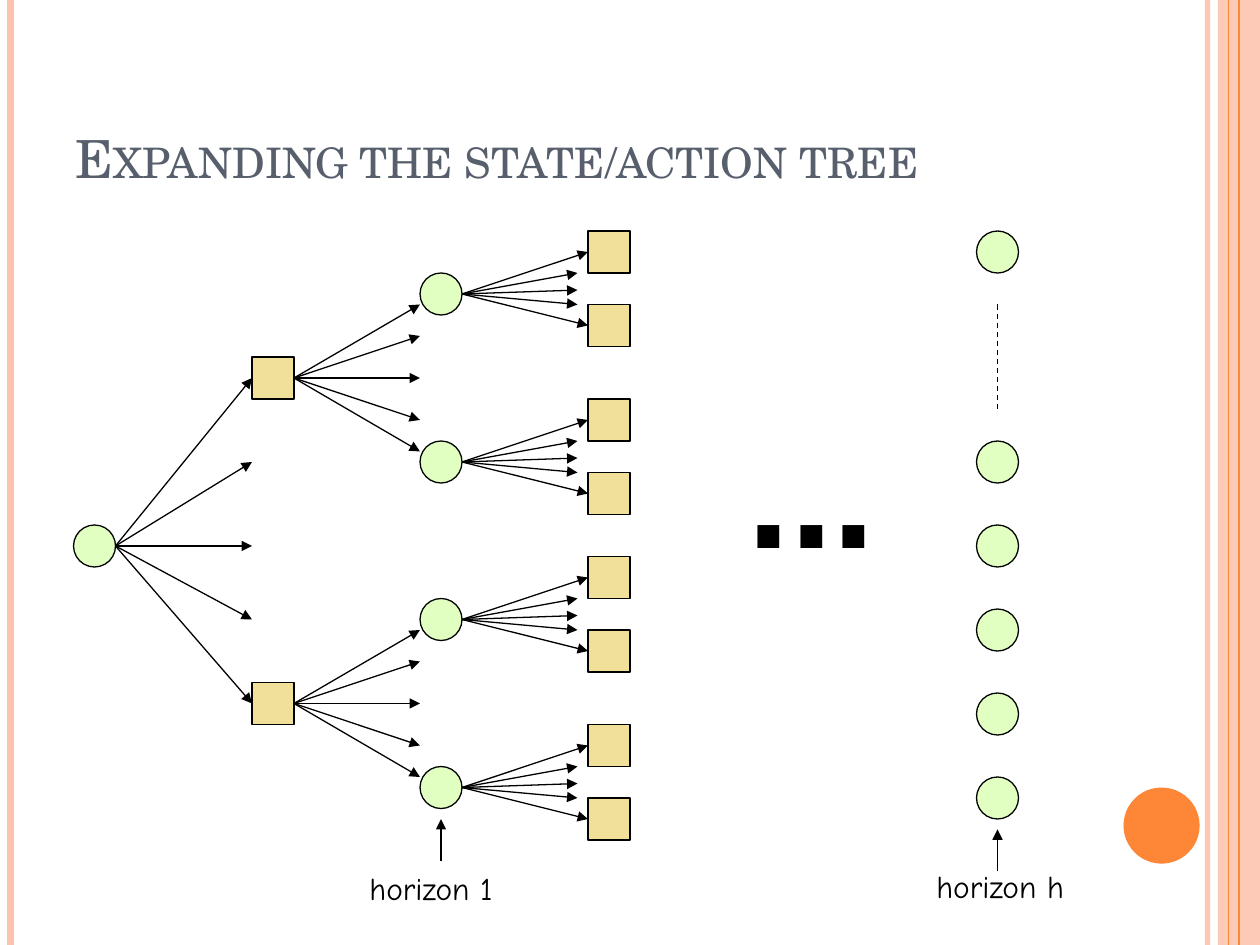
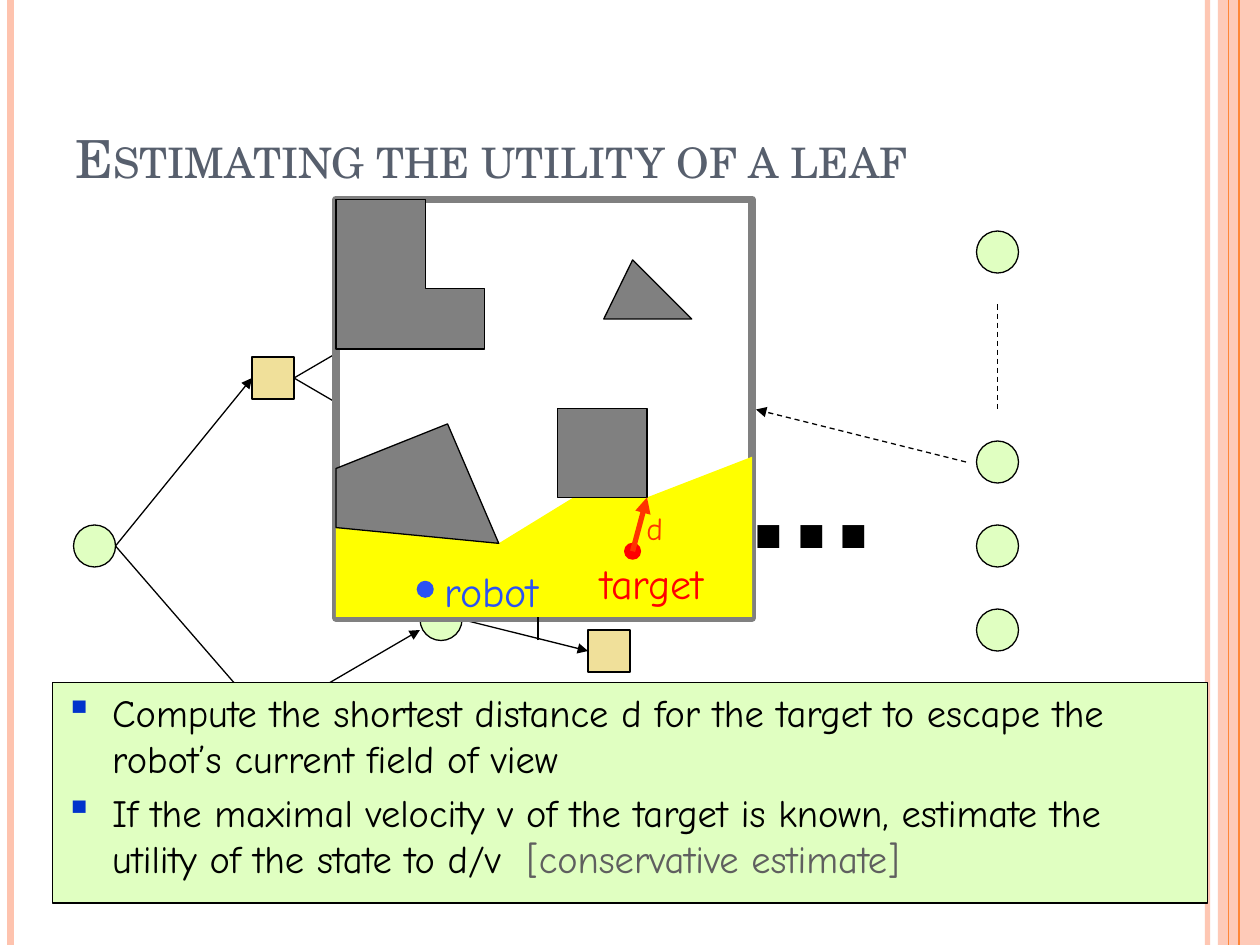
from dataclasses import dataclass, field
from typing import Optional

import pptx
import pptx.util
import pptx.dml.color
import pptx.enum.dml
import pptx.enum.shapes
import pptx.enum.text
import pptx.oxml
import pptx.oxml.ns
import pptx.oxml.xmlchemy
import pptx.shapes.base
import pptx.slide
import pptx.text.text

PIXEL = 9525
SHAPE = pptx.enum.shapes.MSO_SHAPE
Point = tuple[int, int]


@dataclass(frozen=True)
class Theme:
    title_font: str = "TeX Gyre Schola"
    body_font: str = "Comic Neue"
    dots_font: str = "Arial"
    title_size: int = 30
    body_size: int = 22
    label_size: int = 18
    scene_size: int = 24
    dots_size: int = 88
    ink: str = "000000"
    title: str = "575F6D"
    band: str = "FEC3AE"
    accent: str = "FE8637"
    state: str = "E0FFC1"
    action: str = "F0E09A"
    paper: str = "FFFFFF"
    obstacle: str = "808080"
    view: str = "FFFF00"
    robot: str = "2B51F3"
    target: str = "FF0000"
    escape: str = "FF3300"
    bullet: str = "0033CC"
    muted: str = "5F5F5F"
    thin: float = 0.75


THEME = Theme()
NODE = 32
HALF = NODE // 2
ROOT_LEFT, ACTION_LEFT, STATE_LEFT, LEAF_LEFT, HORIZON_LEFT = 56, 192, 320, 448, 744
STUB_END = 440
ROOT_Y = 416
ACTION_YS = (288, 536)
STATE_OFFSETS = (-64, 64)
LEAF_OFFSETS = (-32, 24)
STUB_OFFSETS = (-16, -3, 8)
SPREAD = (-56, 56)
INNER_SPREAD = (-32, 0, 32)
HORIZON_YS = (192, 352, 416, 480, 544, 608)


@dataclass(frozen=True)
class Label:
    text: str
    left: int
    top: int
    width: int
    height: int
    size: int = THEME.label_size
    color: str = THEME.ink
    font: str = THEME.body_font
    bold: bool = False


@dataclass(frozen=True)
class Rule:
    x: int
    color: str
    weight: float
    opacity: int = 100


@dataclass(frozen=True)
class Outline:
    points: tuple[Point, ...]
    fill: str
    line: Optional[str] = THEME.ink


@dataclass
class Canvas:
    slide: pptx.slide.Slide
    sides: dict = field(default_factory=dict)


EDGE_RULES = (
    Rule(920, THEME.band, 3, 93),
    Rule(8, THEME.band, 4.5),
    Rule(944, THEME.accent, 1.5),
    Rule(936, THEME.accent, THEME.thin),
)
TREE_LABELS = (
    Label("...", 560, 296, 117, 151, THEME.dots_size, font=THEME.dots_font, bold=True),
    Label("horizon 1", 272, 657, 120, 38),
    Label("horizon h", 704, 656, 123, 38),
)
SCENE_OUTLINES = (
    Outline(((380, 414), (437, 379), (493, 379), (573, 348), (573, 470), (256, 470), (256, 402)), THEME.view, None),
    Outline(((425, 311), (493, 311), (493, 379), (425, 379)), THEME.obstacle),
    Outline(((256, 402), (380, 414), (341, 323), (256, 357)), THEME.obstacle),
    Outline(((256, 266), (369, 266), (369, 220), (324, 220), (324, 152), (256, 152)), THEME.obstacle),
    Outline(((482, 198), (460, 243), (527, 243)), THEME.obstacle),
)
SCENE_LABELS = (
    Label("target", 448, 420, 115, 48, THEME.scene_size, THEME.target),
    Label("robot", 329, 426, 103, 48, THEME.scene_size, THEME.robot),
)
DISTANCE_LABEL = Label("d", 483, 383, 34, 38, color=THEME.escape)
NOTES = (
    ("Compute the shortest distance d for the target to escape the robot’s current field of view",),
    (
        "If the maximal velocity v of the target is known, estimate the utility of the state to d/v  ",
        "[conservative estimate]",
    ),
)


def px(*lengths: int) -> list[pptx.util.Emu]:
    return [pptx.util.Emu(length * PIXEL) for length in lengths]


def rgb(color: str) -> pptx.dml.color.RGBColor:
    return pptx.dml.color.RGBColor.from_string(color)


def add_element(parent: pptx.oxml.xmlchemy.BaseOxmlElement, tag: str, **attributes: str) -> None:
    child = pptx.oxml.parse_xml(f"<{tag} {pptx.oxml.ns.nsdecls('a')}/>")
    for name, value in attributes.items():
        child.set(name, value)
    parent.append(child)


def set_opacity(shape: pptx.shapes.base.BaseShape, opacity: int) -> None:
    color = shape._element.spPr.find(".//" + pptx.oxml.ns.qn("a:srgbClr"))
    add_element(color, "a:alpha", val=str(opacity * 1000))


def paint(shape: pptx.shapes.base.BaseShape, fill: str, line: Optional[str], weight: float = THEME.thin) -> None:
    shape.shadow.inherit = False
    shape.fill.solid()
    shape.fill.fore_color.rgb = rgb(fill)
    if line is None:
        shape.line.fill.background()
    else:
        shape.line.color.rgb = rgb(line)
        shape.line.width = pptx.util.Pt(weight)


def add_block(canvas: Canvas, kind: SHAPE, box: tuple[int, int, int, int], fill: str,
              line: Optional[str] = THEME.ink, weight: float = THEME.thin) -> pptx.shapes.base.BaseShape:
    shape = canvas.slide.shapes.add_shape(kind, *px(*box))
    paint(shape, fill, line, weight)
    return shape


def add_line(canvas: Canvas, start: Point, end: Point, color: str = THEME.ink, weight: float = THEME.thin,
             arrow: bool = True, dashed: bool = False) -> pptx.shapes.base.BaseShape:
    connector = canvas.slide.shapes.add_connector(
        pptx.enum.shapes.MSO_CONNECTOR.STRAIGHT, *px(*start, *end))
    connector.line.color.rgb = rgb(color)
    connector.line.width = pptx.util.Pt(weight)
    if dashed:
        connector.line.dash_style = pptx.enum.dml.MSO_LINE.DASH
    if arrow:
        add_element(connector.line._get_or_add_ln(), "a:tailEnd", type="triangle")
    add_element(connector._element.spPr, "a:effectLst")
    if start in canvas.sides:
        connector.begin_connect(*canvas.sides[start])
    if end in canvas.sides:
        connector.end_connect(*canvas.sides[end])
    return connector


def add_fan(canvas: Canvas, start: Point, end_x: int, offsets: tuple[int, ...]) -> None:
    for offset in offsets:
        add_line(canvas, start, (end_x, start[1] + offset))


def add_state(canvas: Canvas, left: int, center_y: int) -> None:
    add_block(canvas, SHAPE.OVAL, (left, center_y - HALF, NODE, NODE), THEME.state)


def add_action(canvas: Canvas, left: int, center_y: int) -> None:
    square = add_block(canvas, SHAPE.RECTANGLE, (left, center_y - HALF, NODE, NODE), THEME.action)
    canvas.sides[left, center_y] = (square, 1)
    canvas.sides[left + NODE, center_y] = (square, 3)


def style_run(run: pptx.text.text._Run, font: str, size: int, color: str, bold: bool = False) -> None:
    run.font.name = font
    run.font.size = pptx.util.Pt(size)
    run.font.color.rgb = rgb(color)
    run.font.bold = bold


def add_label(canvas: Canvas, label: Label) -> None:
    box = canvas.slide.shapes.add_textbox(*px(label.left, label.top, label.width, label.height))
    frame = box.text_frame
    frame.text = label.text
    frame.word_wrap = False
    frame.auto_size = pptx.enum.text.MSO_AUTO_SIZE.SHAPE_TO_FIT_TEXT
    style_run(frame.paragraphs[0].runs[0], label.font, label.size, label.color, label.bold)


def start_slide(presentation: pptx.presentation.Presentation, title: str) -> Canvas:
    canvas = Canvas(presentation.slides.add_slide(presentation.slide_layouts[6]))
    band = add_block(canvas, SHAPE.RECTANGLE, (928, 0, 32, 720), THEME.band, None)
    set_opacity(band, 87)
    for rule in EDGE_RULES:
        line = add_line(canvas, (rule.x, 0), (rule.x, 720), rule.color, rule.weight, arrow=False)
        if rule.opacity < 100:
            set_opacity(line, rule.opacity)
    frame = canvas.slide.shapes.add_textbox(*px(48, 29, 784, 120)).text_frame
    frame.word_wrap = True
    frame.vertical_anchor = pptx.enum.text.MSO_ANCHOR.BOTTOM
    frame.text = title
    run = frame.paragraphs[0].runs[0]
    style_run(run, THEME.title_font, THEME.title_size, THEME.title)
    run.font._element.set("cap", "small")
    return canvas


def add_tree_frame(canvas: Canvas, horizon_ys: tuple[int, ...]) -> None:
    for center_y in horizon_ys:
        add_state(canvas, HORIZON_LEFT, center_y)
    add_line(canvas, (760, 232), (760, 312), arrow=False, dashed=True)
    add_state(canvas, ROOT_LEFT, ROOT_Y)
    for action_y in ACTION_YS:
        add_action(canvas, ACTION_LEFT, action_y)
        add_line(canvas, (ROOT_LEFT + NODE, ROOT_Y), (ACTION_LEFT, action_y))
    for label in TREE_LABELS:
        add_label(canvas, label)


def build_expansion(presentation: pptx.presentation.Presentation) -> None:
    canvas = start_slide(presentation, "Expanding the state/action tree")
    add_block(canvas, SHAPE.OVAL, (856, 600, 58, 58), THEME.accent, None)
    add_tree_frame(canvas, HORIZON_YS)
    add_fan(canvas, (ROOT_LEFT + NODE, ROOT_Y), ACTION_LEFT, (-64, 0, 56))
    for action_y in ACTION_YS:
        add_fan(canvas, (ACTION_LEFT + NODE, action_y), STATE_LEFT, SPREAD + INNER_SPREAD)
        for state_y in (action_y + offset for offset in STATE_OFFSETS):
            add_state(canvas, STATE_LEFT, state_y)
            for offset in LEAF_OFFSETS:
                add_action(canvas, LEAF_LEFT, state_y + offset)
            add_fan(canvas, (STATE_LEFT + NODE, state_y), LEAF_LEFT, LEAF_OFFSETS)
            add_fan(canvas, (STATE_LEFT + NODE, state_y), STUB_END, STUB_OFFSETS)
    add_line(canvas, (336, 656), (336, 624))
    add_line(canvas, (760, 664), (760, 632))


def add_notes(canvas: Canvas) -> None:
    panel = add_block(canvas, SHAPE.RECTANGLE, (40, 520, 880, 168), THEME.state)
    frame = panel.text_frame
    frame.word_wrap = True
    frame.vertical_anchor = pptx.enum.text.MSO_ANCHOR.TOP
    for index, pieces in enumerate(NOTES):
        paragraph = frame.paragraphs[0] if index == 0 else frame.add_paragraph()
        paragraph.alignment = pptx.enum.text.PP_ALIGN.LEFT
        if index:
            paragraph.space_before = pptx.util.Pt(4.4)
        properties = paragraph._p.get_or_add_pPr()
        properties.set("marL", str(36 * PIXEL))
        properties.set("indent", str(-36 * PIXEL))
        color = pptx.oxml.parse_xml(
            f'<a:buClr {pptx.oxml.ns.nsdecls("a")}><a:srgbClr val="{THEME.bullet}"/></a:buClr>')
        properties.append(color)
        add_element(properties, "a:buChar", char="▪")
        for piece, ink in zip(pieces, (THEME.ink, THEME.muted)):
            run = paragraph.add_run()
            run.text = piece
            style_run(run, THEME.body_font, THEME.body_size, ink)


def add_scene(canvas: Canvas) -> None:
    add_block(canvas, SHAPE.RECTANGLE, (256, 152, 317, 319), THEME.paper, THEME.obstacle, 4.5)
    add_line(canvas, (410, 488), (410, 453))
    for outline in SCENE_OUTLINES:
        builder = canvas.slide.shapes.build_freeform(*outline.points[0], scale=PIXEL)
        builder.add_line_segments(outline.points[1:], close=True)
        paint(builder.convert_to_shape(), outline.fill, outline.line)
    for left, top, color in ((318, 443, THEME.robot), (476, 414, THEME.target)):
        add_block(canvas, SHAPE.OVAL, (left, top, 12, 12), color, color)
    for label in SCENE_LABELS:
        add_label(canvas, label)
    add_line(canvas, (482, 420), (493, 379), THEME.escape, 3)
    add_label(canvas, DISTANCE_LABEL)
    add_line(canvas, (736, 352), (576, 312), dashed=True)


def build_utility(presentation: pptx.presentation.Presentation) -> None:
    canvas = start_slide(presentation, "Estimating the utility of a leaf")
    add_tree_frame(canvas, HORIZON_YS[:4])
    upper_y, lower_y = ACTION_YS
    state_y = lower_y + STATE_OFFSETS[0]
    add_fan(canvas, (ACTION_LEFT + NODE, upper_y), STATE_LEFT, SPREAD)
    add_fan(canvas, (ACTION_LEFT + NODE, lower_y), STATE_LEFT, SPREAD[:1])
    add_state(canvas, STATE_LEFT, state_y)
    add_action(canvas, LEAF_LEFT, state_y + LEAF_OFFSETS[1])
    add_fan(canvas, (STATE_LEFT + NODE, state_y), LEAF_LEFT, LEAF_OFFSETS)
    add_notes(canvas)
    add_scene(canvas)


def main() -> None:
    presentation = pptx.Presentation()
    presentation.slide_width, presentation.slide_height = px(960, 720)
    build_expansion(presentation)
    build_utility(presentation)
    presentation.save("out.pptx")


if __name__ == "__main__":
    main()
